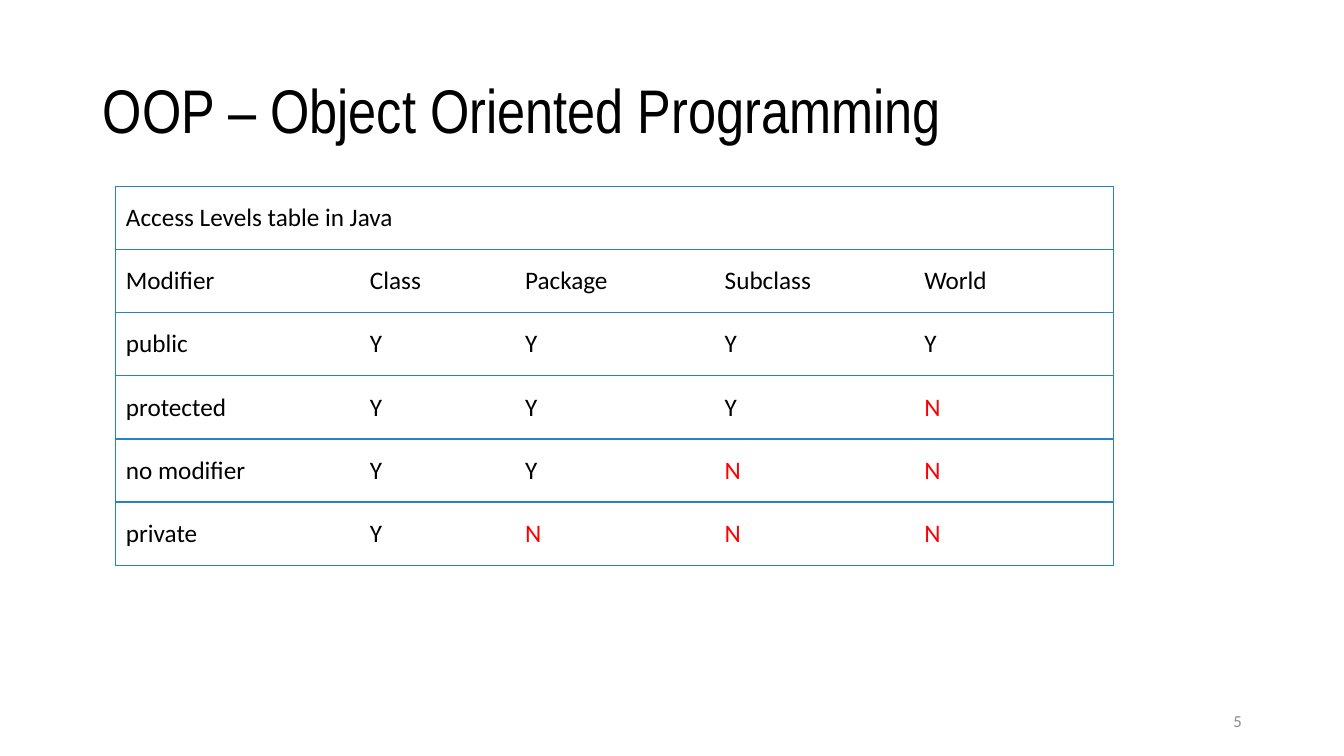
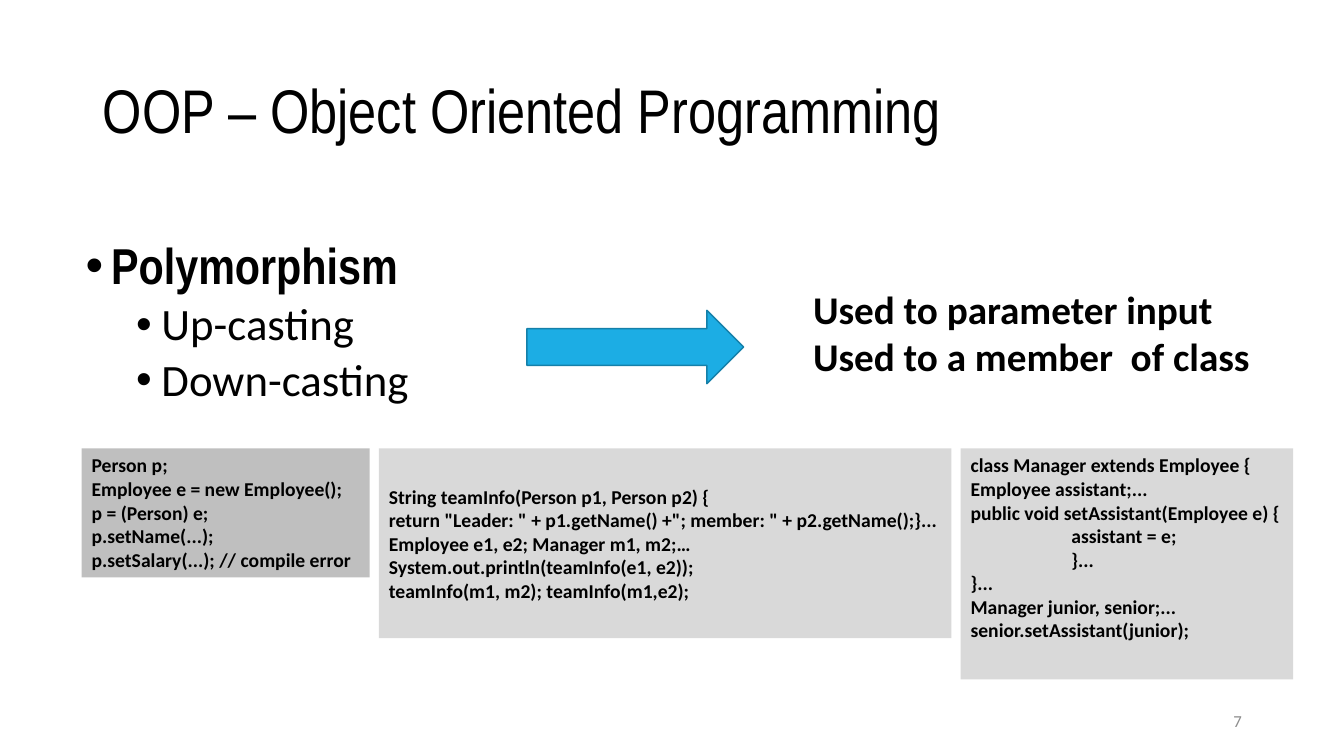
"""Build two slides on access levels and polymorphism in Java."""
import lxml.etree
import pptx
import pptx.dml.color
import pptx.enum.shapes
import pptx.enum.text
import pptx.oxml.ns
import pptx.util

Cm = pptx.util.Cm
Pt = pptx.util.Pt
RGBColor = pptx.dml.color.RGBColor
Align = pptx.enum.text.PP_ALIGN
Anchor = pptx.enum.text.MSO_ANCHOR
Shape = pptx.enum.shapes.MSO_SHAPE
qn = pptx.oxml.ns.qn

BLACK = RGBColor(0x00, 0x00, 0x00)
WHITE = RGBColor(0xFF, 0xFF, 0xFF)
RED = RGBColor(0xFF, 0x00, 0x00)
PAGE_GRAY = RGBColor(0x8C, 0x8C, 0x8C)
CODE_DARK = RGBColor(0xBF, 0xBF, 0xBF)
CODE_LIGHT = RGBColor(0xD9, 0xD9, 0xD9)
ARROW_FILL = RGBColor(0x1C, 0xAD, 0xE4)
ARROW_LINE = RGBColor(0x15, 0x80, 0xA9)
TABLE_LINE = RGBColor(0x26, 0x83, 0xC6)

HEADING_FONT = "Arial Narrow"
BODY_FONT = "Calibri"
TITLE = "OOP – Object Oriented Programming"
TITLE_BOX = (2.34, 1.02, 29.21, 3.68)
NUMBER_BOX = (23.93, 17.65, 7.62, 1.02)

ACCESS_COLUMNS = (6.15, 3.91, 5.03, 5.03, 5.03)
ACCESS_ROW = 1.59
ACCESS_LEVELS = (
    ("Access Levels table in Java", "", "", "", ""),
    ("Modifier", "Class", "Package", "Subclass", "World"),
    ("public", "Y", "Y", "Y", "Y"),
    ("protected", "Y", "Y", "Y", "N"),
    ("no modifier", "Y", "Y", "N", "N"),
    ("private", "Y", "N", "N", "N"),
)

CODE_GAP = 0.23
CASTING_CODE = (
    "Person p;",
    "Employee e = new Employee();",
    "p = (Person) e;",
    "p.setName(...);",
    "p.setSalary(...); // compile error",
)
PARAMETER_CODE = (
    "String teamInfo(Person p1, Person p2) {",
    'return "Leader: " + p1.getName() +"; member: " + p2.getName();}...',
    "Employee e1, e2; Manager m1, m2;…",
    "System.out.println(teamInfo(e1, e2));",
    "teamInfo(m1, m2); teamInfo(m1,e2);",
)
MEMBER_CODE = (
    "class Manager extends Employee {",
    "Employee assistant;...",
    "public void setAssistant(Employee e) {",
    ("assistant = e;", {"left": 2.54}),
    ("}...", {"left": 2.54}),
    "}...",
    "Manager junior, senior;...",
    "senior.setAssistant(junior);",
)
CODE_PANELS = (
    (CASTING_CODE, 7.26, 3.25, CODE_DARK, Anchor.TOP),
    (PARAMETER_CODE, 14.43, 4.78, CODE_LIGHT, Anchor.MIDDLE),
    (MEMBER_CODE, 8.38, 5.82, CODE_LIGHT, Anchor.TOP),
)


def write(p, text, size=18, font=BODY_FONT, color=BLACK, bold=False,
          align=Align.LEFT, spacing=None, before=0, left=0, bullet=False):
    """Write formatted text into a paragraph."""
    p.alignment = align
    p.line_spacing = spacing
    p.space_before = Pt(before)
    pPr = p._p.get_or_add_pPr()
    pPr.set("marL", str(Cm(left)))
    if bullet:
        pPr.set("indent", str(Cm(-0.64)))
        lxml.etree.SubElement(pPr, qn("a:buFont"), typeface="Arial")
        lxml.etree.SubElement(pPr, qn("a:buChar"), char="•")
    r = p.add_run()
    r.text = text
    r.font.size = Pt(size)
    r.font.name = font
    r.font.bold = bold
    r.font.color.rgb = color


def write_lines(tf, lines, anchor=Anchor.TOP, **style):
    """Fill a text frame with lines, each a string or a (string, style) pair."""
    tf.word_wrap = True
    tf.vertical_anchor = anchor
    for i, line in enumerate(lines):
        text, own = (line, {}) if isinstance(line, str) else line
        p = tf.add_paragraph() if i else tf.paragraphs[0]
        write(p, text, **{**style, **own})


def add_text(s, box, lines, **style):
    """Add a text box in the given box."""
    sp = s.shapes.add_textbox(*map(Cm, box))
    write_lines(sp.text_frame, lines, **style)


def add_block(s, kind, box, fill, line=None):
    """Add a flat preset shape, outlined when a line colour is given."""
    sp = s.shapes.add_shape(kind, *map(Cm, box))
    sp.shadow.inherit = False
    sp.fill.solid()
    sp.fill.fore_color.rgb = fill
    if line is None:
        sp.line.fill.background()
    else:
        sp.line.color.rgb = line
        sp.line.width = Pt(1)
    return sp


def add_page(prs, number):
    """Add a blank slide with the shared title and page number."""
    s = prs.slides.add_slide(prs.slide_layouts[6])
    add_text(s, TITLE_BOX, [TITLE], anchor=Anchor.MIDDLE, size=44,
             font=HEADING_FONT, spacing=0.9)
    add_text(s, NUMBER_BOX, [str(number)], anchor=Anchor.MIDDLE, size=12,
             color=PAGE_GRAY, align=Align.RIGHT)
    return s


def set_borders(cell, sides):
    """Draw the named cell sides and clear the others."""
    tcPr = cell._tc.get_or_add_tcPr()
    for i, side in enumerate("LRTB"):
        ln = lxml.etree.Element(qn(f"a:ln{side}"), w=str(Pt(1)))
        tcPr.insert(i, ln)
        if side in sides:
            fill = lxml.etree.SubElement(ln, qn("a:solidFill"))
            lxml.etree.SubElement(fill, qn("a:srgbClr"), val=str(TABLE_LINE))
        else:
            lxml.etree.SubElement(ln, qn("a:noFill"))


def add_access_table(s, left, top):
    """Add the access level table with its corner at left, top."""
    rows, cols = len(ACCESS_LEVELS), len(ACCESS_COLUMNS)
    box = (left, top, sum(ACCESS_COLUMNS), ACCESS_ROW * rows)
    table = s.shapes.add_table(rows, cols, *map(Cm, box)).table
    table.first_row = table.horz_banding = False
    for column, width in zip(table.columns, ACCESS_COLUMNS):
        column.width = Cm(width)
    for i, row in enumerate(ACCESS_LEVELS):
        table.rows[i].height = Cm(ACCESS_ROW)
        for j, text in enumerate(row):
            cell = table.cell(i, j)
            first, last = j == 0, j == cols - 1 or i == 0
            set_borders(cell, "TB" + "L" * first + "R" * last)
            cell.fill.solid()
            cell.fill.fore_color.rgb = WHITE
            cell.vertical_anchor = Anchor.MIDDLE
            if text:
                write(cell.text_frame.paragraphs[0], text,
                      color=RED if text == "N" else BLACK)
    table.cell(0, 0).merge(table.cell(0, cols - 1))


def add_casting_list(s, box):
    """Add the bulleted list of casting kinds."""
    add_text(s, box, [
        ("Polymorphism", {"size": 36, "font": HEADING_FONT, "bold": True,
                          "before": 10, "left": 0.64}),
        "Up-casting",
        "Down-casting",
    ], size=32, spacing=0.9, before=5, left=1.91, bullet=True)


def add_code_panels(s, left, top):
    """Add the code panels side by side with equal gaps."""
    for lines, width, height, fill, anchor in CODE_PANELS:
        sp = add_block(s, Shape.RECTANGLE, (left, top, width, height), fill)
        write_lines(sp.text_frame, lines, anchor=anchor, size=14, bold=True)
        left += width + CODE_GAP


def build_access_slide(prs):
    """Build the slide on access levels."""
    s = add_page(prs, 5)
    add_access_table(s, 2.92, 4.7)


def build_polymorphism_slide(prs):
    """Build the slide on polymorphism."""
    s = add_page(prs, 7)
    add_casting_list(s, (1.91, 5.94, 11.38, 10.13))
    add_block(s, Shape.RIGHT_ARROW, (13.28, 7.82, 5.46, 1.85),
              ARROW_FILL, ARROW_LINE)
    add_text(s, (20.24, 7.06, 11.63, 3.43),
             ["Used to parameter input", "Used to a member  of class"],
             size=28, bold=True)
    add_code_panels(s, 2.06, 11.3)


prs = pptx.Presentation()
prs.slide_width = Cm(33.87)
prs.slide_height = Cm(19.05)
build_access_slide(prs)
build_polymorphism_slide(prs)
prs.save("out.pptx")
